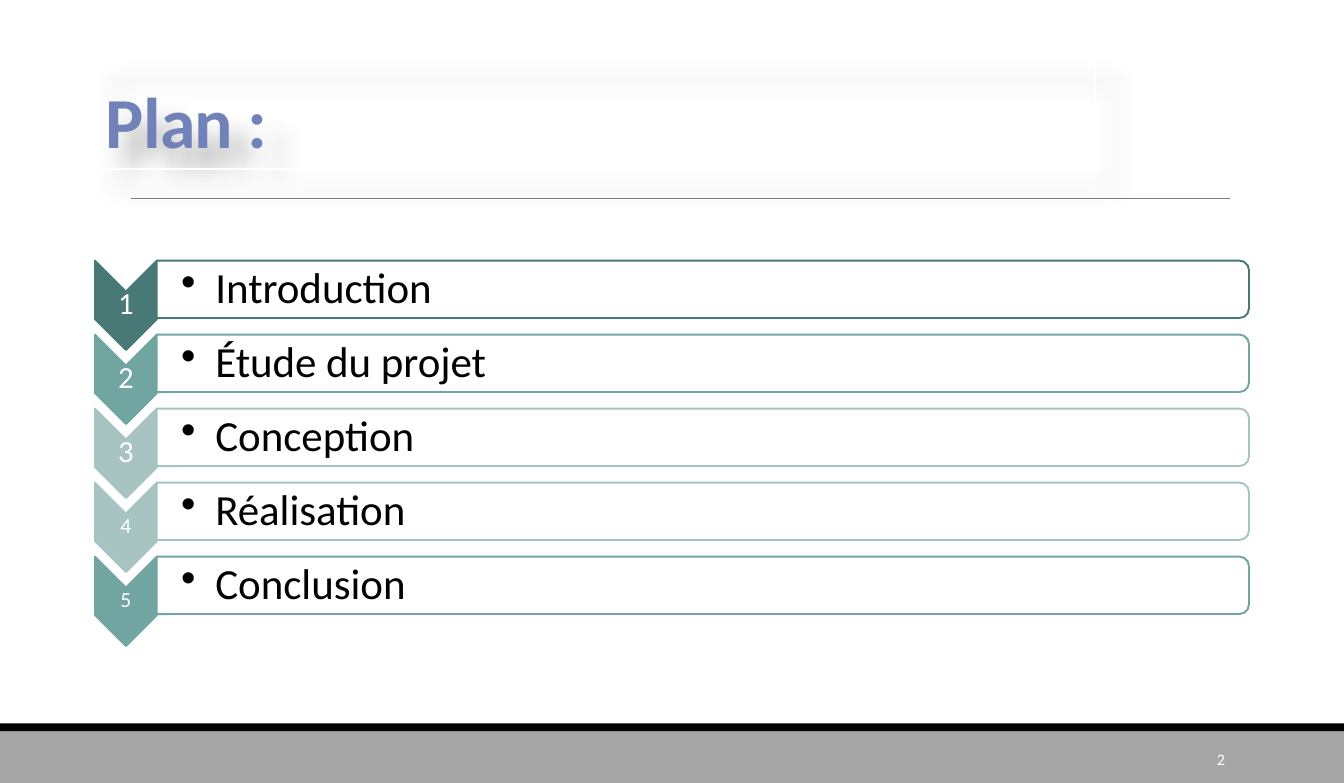
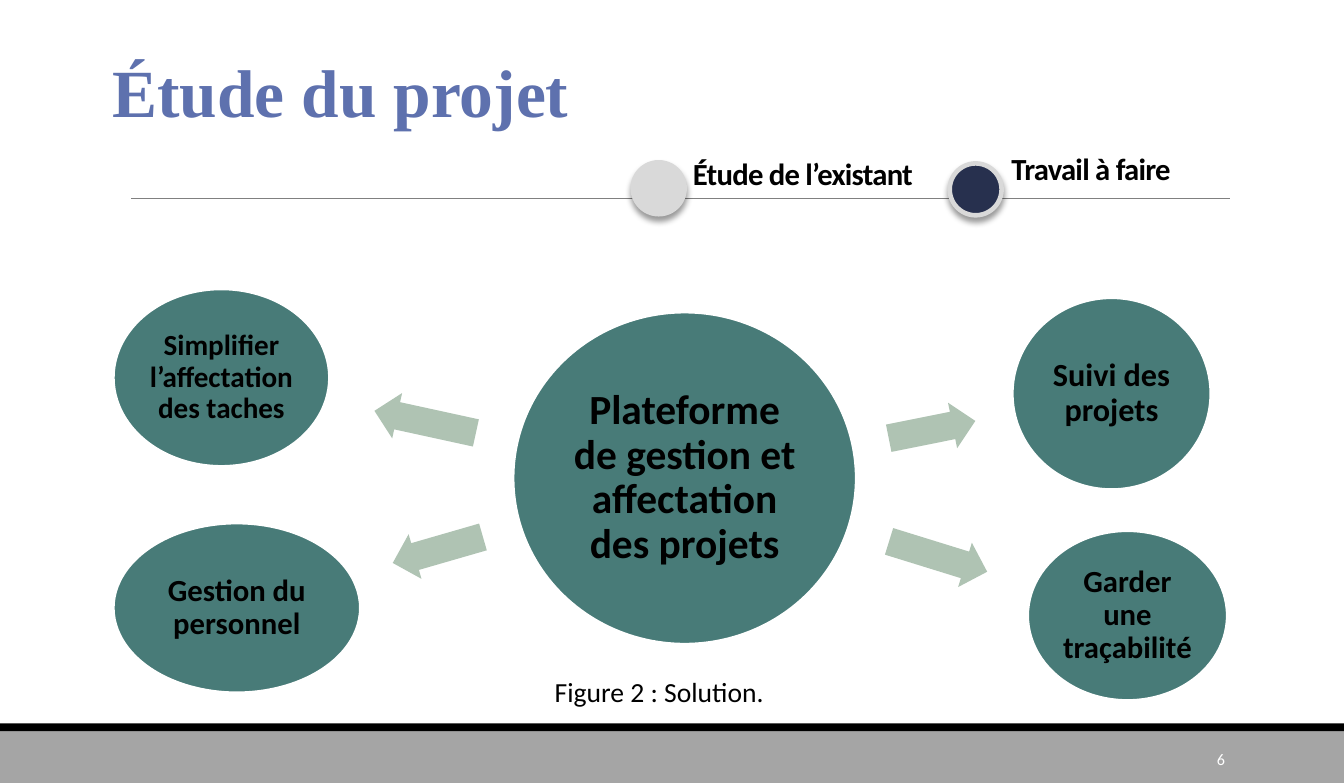
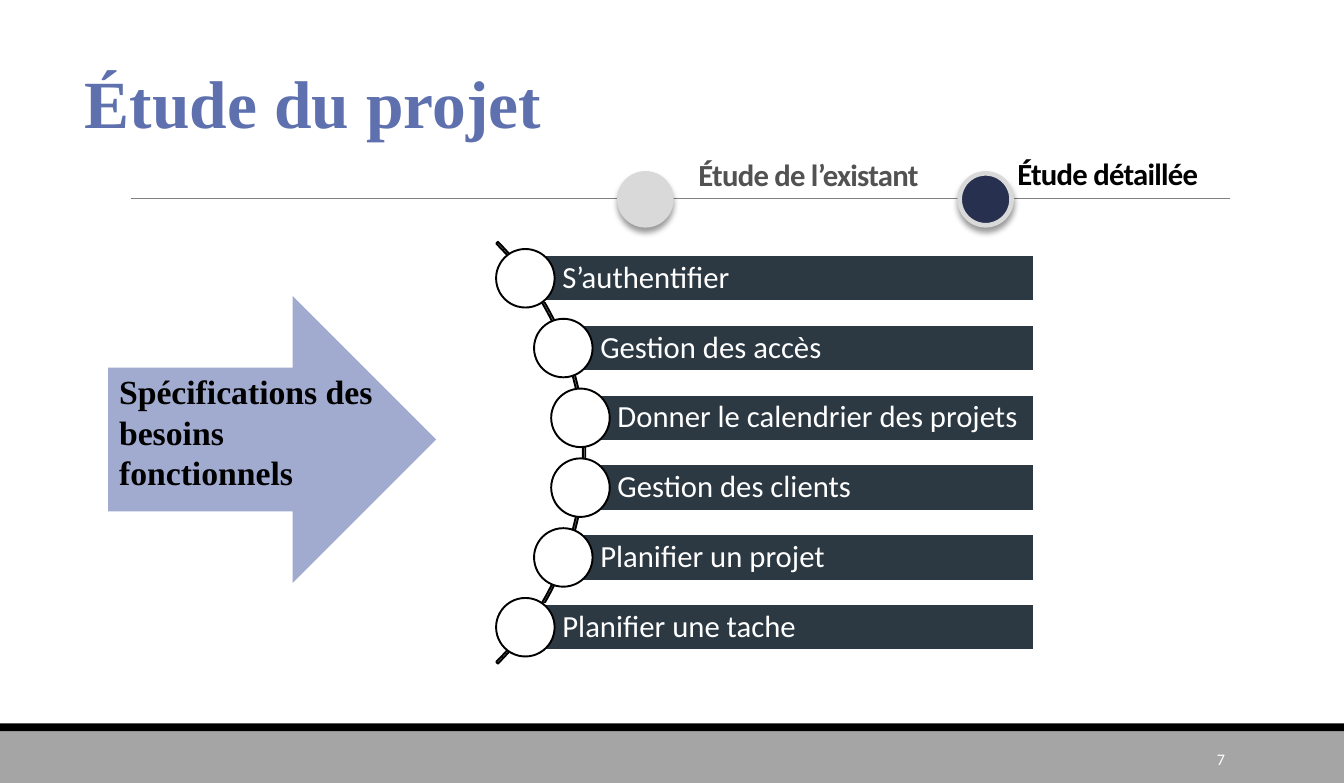
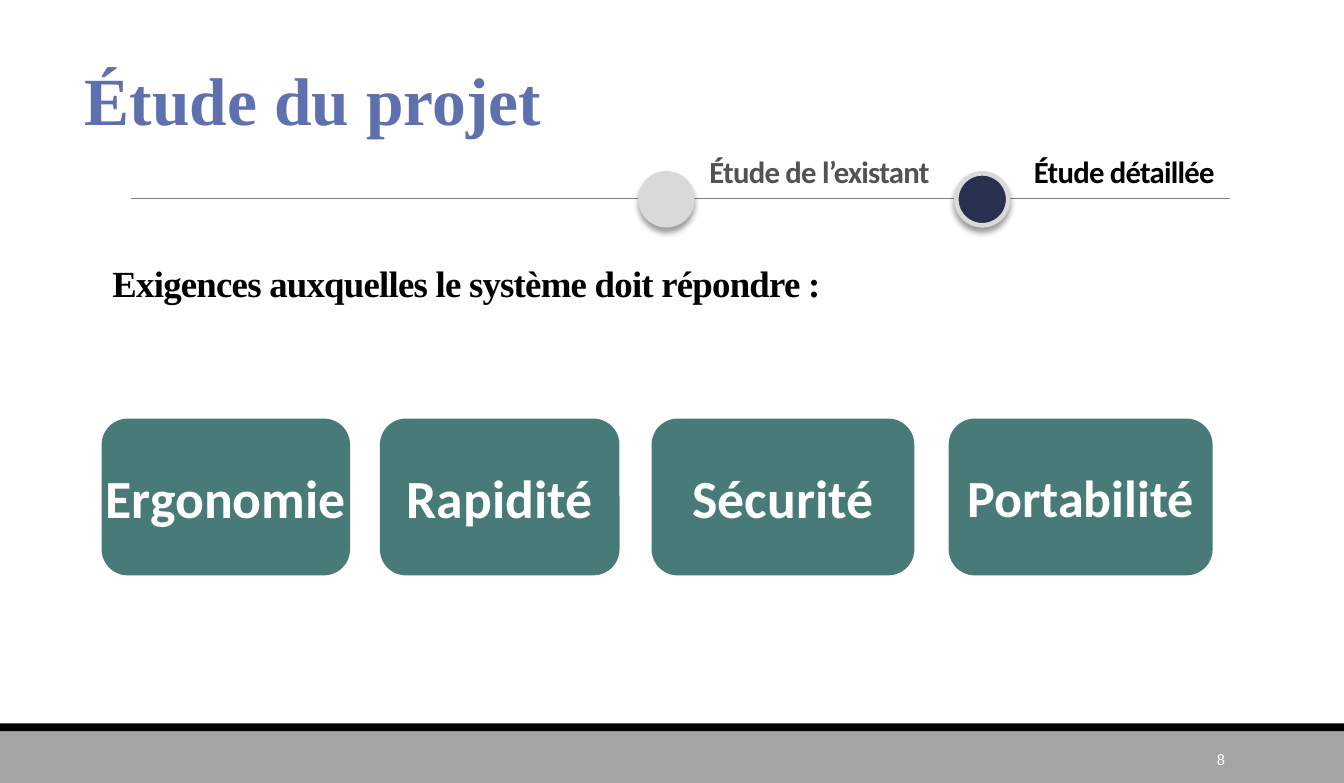
from math import sqrt
from lxml.etree import SubElement
from pptx import Presentation
from pptx.dml.color import RGBColor
from pptx.enum.shapes import MSO_CONNECTOR, MSO_SHAPE
from pptx.enum.text import MSO_ANCHOR, PP_ALIGN
from pptx.oxml.ns import qn
from pptx.util import Inches, Pt

WIDE, HIGH = 12.17, 7.09
HEX = {
    "white": "FFFFFF", "black": "000000", "band": "A5A5A5", "rule": "808080",
    "plan": "7182B8", "title": "5E71AE", "teal": "487B78", "arrow": "AFC3B3",
    "deep": "497976", "mid": "71A5A1", "pale": "A7C4C2", "navy": "27304E",
    "ring": "D9D9D9", "grey": "525252", "lilac": "A1ABD0", "slate": "2C3943",
}
SANS, SERIF = "Calibri", "Times New Roman"
LEFT, MID, RIGHT = PP_ALIGN.LEFT, PP_ALIGN.CENTER, PP_ALIGN.RIGHT
TOP, HALF, BASE = MSO_ANCHOR.TOP, MSO_ANCHOR.MIDDLE, MSO_ANCHOR.BOTTOM
PAD = (0.1, 0.05, 0.1, 0.05)


def rgb(name):
    return RGBColor.from_string(HEX[name])


def draw(slide, kind, box, fill=None, line=None, width=1.25, turn=0):
    """Add a preset shape; box is left, top, width, height in inches."""
    shape = slide.shapes.add_shape(kind, *map(Inches, box))
    shape.shadow.inherit = False
    shape.rotation = turn
    if fill:
        shape.fill.solid()
        shape.fill.fore_color.rgb = rgb(fill)
    else:
        shape.fill.background()
    if line:
        shape.line.color.rgb = rgb(line)
        shape.line.width = Pt(width)
    else:
        shape.line.fill.background()
    return shape


def upright(slide, kind, box, fill, line):
    """Add a shape turned by 90 degrees that covers the given box."""
    x, y, w, h = box
    flat = (x + (w - h) / 2, y + (h - w) / 2, h, w)
    return draw(slide, kind, flat, fill, line, turn=90)


def shade(shape, alpha, blur, dist, angle):
    """Cast an outer shadow: percent, points, points, degrees."""
    effects = shape._element.spPr.find(qn("a:effectLst"))
    outer = SubElement(effects, qn("a:outerShdw"), blurRad=str(Pt(blur)),
                       dist=str(Pt(dist)), dir=str(angle * 60000),
                       algn="ctr", rotWithShape="0")
    tint = SubElement(outer, qn("a:srgbClr"), val=HEX["black"])
    SubElement(tint, qn("a:alpha"), val=str(alpha * 1000))


def write(shape, text, size, color="black", bold=False, font=SANS, align=LEFT,
          anchor=TOP, pad=PAD, gap=None, tight=False, wrap=True):
    """Put one formatted paragraph into a shape and return it."""
    frame = shape.text_frame
    frame.text = text
    frame.word_wrap = wrap
    frame.vertical_anchor = anchor
    (frame.margin_left, frame.margin_top,
     frame.margin_right, frame.margin_bottom) = map(Inches, pad)
    para = frame.paragraphs[0]
    para.alignment = align
    if gap:
        para.line_spacing = gap
    run = para.runs[0]
    run.font.name, run.font.size, run.font.bold = font, Pt(size), bold
    run.font.color.rgb = rgb(color)
    if tight:
        run._r.get_or_add_rPr().set("spc", "-50")
    return para


def label(slide, box, text, size, **style):
    return write(slide.shapes.add_textbox(*map(Inches, box)), text, size, **style)


# Parts shared by the slides
def start(deck, number):
    """Add a slide with its footer bands, rule and number."""
    slide = deck.slides.add_slide(deck.slide_layouts[6])
    draw(slide, MSO_SHAPE.RECTANGLE, (0, 6.61, WIDE, HIGH - 6.61), "band")
    draw(slide, MSO_SHAPE.RECTANGLE, (0, 6.55, WIDE, 0.07), "black")
    rule = slide.shapes.add_connector(
        MSO_CONNECTOR.STRAIGHT, *map(Inches, (1.19, 1.8, 11.14, 1.8)))
    rule.line.color.rgb = rgb("rule")
    rule.line.width = Pt(0.5)
    SubElement(rule._element.spPr, qn("a:effectLst"))
    label(slide, (9.88, 6.68, 1.31, 0.38), str(number), 10.5,
          color="white", align=RIGHT, anchor=HALF)
    return slide


def head(slide, x, y):
    label(slide, (x, y, 4.57, 0.84), "Étude du projet", 44,
          color="title", bold=True, font=SERIF)


def steps(slide, marks):
    """Timeline marks: dot left, dot top, fill, text centre x and y, text, colour."""
    for x, y, fill, mid, level, text, color in marks:
        dot = draw(slide, MSO_SHAPE.OVAL, (x, y, 0.47, 0.47), fill, "ring", 3)
        shade(dot, 40, 4, 3, 90)
        label(slide, (mid - 1.5, level - 0.2, 3, 0.4), text, 20, color=color,
              bold=True, align=MID, anchor=HALF, tight=True)


# Slide 1: chevron list
def agenda(slide, box, rows):
    left, top, width, pitch = box
    for i, (text, color, size) in enumerate(rows):
        y = top + i * pitch
        upright(slide, MSO_SHAPE.CHEVRON, (left, y, 0.56, 0.81), color, color)
        label(slide, (left, y + 0.28, 0.56, 0.24), str(i + 1), size, color="white",
              align=MID, anchor=HALF, pad=(0.01,) * 4, gap=0.9)
        x, wide = left + 0.56, width - 0.56
        upright(slide, MSO_SHAPE.ROUND_2_SAME_RECTANGLE, (x, y, wide, 0.52),
                "white", color)
        para = label(slide, (x, y + 0.03, wide, 0.47), text, 28, anchor=HALF,
                     pad=(0.22, 0.02, 0.02, 0.02), gap=0.9)
        props = para._p.get_or_add_pPr()
        props.set("marL", str(Inches(0.31)))
        props.set("indent", str(Inches(-0.31)))
        SubElement(props, qn("a:buChar"), char="•")


def plan(deck):
    slide = start(deck, 2)
    agenda(slide, (0.86, 2.36, 10.45, 0.67), [
        ("Introduction", "deep", 20), ("Étude du projet", "mid", 20),
        ("Conception", "pale", 20), ("Réalisation", "pale", 14),
        ("Conclusion", "mid", 14)])
    title = draw(slide, MSO_SHAPE.RECTANGLE, (0.86, 0.55, 9.06, 0.98), None, "white")
    shade(title, 30, 15, 18, 45)
    write(title, "Plan :", 46.8, "plan", True, anchor=BASE, gap=0.85, tight=True)


# Slide 2: hub with four goals
def bubble(slide, box, text, size):
    disc = draw(slide, MSO_SHAPE.OVAL, box, "teal", "white")
    write(disc, text, size, bold=True, align=MID, anchor=HALF,
          pad=(0.03,) * 4, gap=0.9)


def hub(slide, x, y):
    bubble(slide, (x + 3.62, y + 0.21, 3.1, 3),
           "Plateforme de gestion et affectation des projets", 27)
    goals = [
        ((0, 0, 1.95, 1.6), "Simplifier l’affectation des taches", 19,
         (2.35, 0.99, 0.94), 192.3),
        ((8.14, 0.08, 1.79, 1.73), "Suivi des projets", 21,
         (7.01, 1.06, 0.8), 348.7),
        ((0, 2.12, 2.23, 1.53), "Gestion du personnel", 20,
         (2.51, 2.15, 0.85), 163.9),
        ((8.28, 2.19, 1.8, 1.53), "Garder une traçabilité", 20,
         (7, 2.21, 0.93), 17.2),
    ]
    for (dx, dy, w, h), text, size, (ax, ay, span), turn in goals:
        bubble(slide, (x + dx, y + dy, w, h), text, size)
        arrow = draw(slide, MSO_SHAPE.RIGHT_ARROW, (x + ax, y + ay, span, 0.42),
                     "arrow", turn=turn)
        arrow.adjustments[0] = 0.6


def goal(deck):
    slide = start(deck, 6)
    steps(slide, [
        (5.73, 1.47, "ring", 7.27, 1.57, "Étude de l’existant", "black"),
        (8.6, 1.48, "navy", 9.88, 1.52, "Travail à faire", "black")])
    head(slide, 0.92, 0.4)
    hub(slide, 1.03, 2.62)
    label(slide, (4.91, 6.06, 2.12, 0.4), "Figure 2 : Solution.", 18,
          align=MID, anchor=HALF, wrap=False)


# Slide 3: list along an arc
def curve(slide, box, rows):
    x, y, side, edge = box
    arc = draw(slide, MSO_SHAPE.BLOCK_ARC, (x, y, side, side), None, "black")
    for i, value in enumerate((189, 27, 0.004)):
        arc.adjustments[i] = value
    mid, level, radius, pitch = x + side / 2, y + side / 2, 2.67, 0.632
    for i, text in enumerate(rows):
        drop = (i - (len(rows) - 1) / 2) * pitch
        left, row = mid + sqrt(radius ** 2 - drop ** 2), level + drop
        bar = draw(slide, MSO_SHAPE.RECTANGLE,
                   (left, row - 0.21, edge - left, 0.42), "slate", "white")
        write(bar, text, 20, "white", anchor=HALF,
              pad=(0.34, 0.06, 0.06, 0.06), gap=0.9)
        draw(slide, MSO_SHAPE.OVAL, (left - 0.26, row - 0.265, 0.53, 0.53),
             "white", "black")


def needs(deck):
    slide = start(deck, 7)
    draw(slide, MSO_SHAPE.RIGHT_ARROW, (0.98, 2.68, 2.97, 2.6), "lilac")
    label(slide, (0.98, 3.31, 2.51, 1.21), "Spécifications des besoins fonctionnels",
          22, bold=True, font=SERIF)
    head(slide, 0.67, 0.5)
    curve(slide, (-0.1, 1.4, 5.4, 9.36), [
        "S’authentifier", "Gestion des accès", "Donner le calendrier des projets",
        "Gestion des clients", "Planifier un projet", "Planifier une tache"])
    steps(slide, [
        (5.61, 1.57, "ring", 7.32, 1.58, "Étude de l’existant", "grey"),
        (8.69, 1.57, "navy", 10.03, 1.57, "Étude détaillée", "black")])


# Slide 4: row of cards
def cards(slide, y, items):
    for x, width, text, size in items:
        card = draw(slide, MSO_SHAPE.ROUNDED_RECTANGLE, (x, y, width, 1.42), "teal")
        write(card, text, size, "white", True, align=MID, anchor=HALF,
              pad=(0,) * 4, wrap=False)


def traits(deck):
    slide = start(deck, 8)
    steps(slide, [
        (5.8, 1.57, "ring", 7.42, 1.55, "Étude de l’existant", "grey"),
        (8.66, 1.57, "navy", 10.18, 1.55, "Étude détaillée", "black")])
    head(slide, 0.67, 0.48)
    label(slide, (0.92, 1.64, 11, 1.17),
          "Exigences auxquelles le système doit répondre :", 24, bold=True,
          font=SERIF, anchor=BASE, gap=0.85, tight=True)
    cards(slide, 3.79, [
        (0.92, 2.25, "Ergonomie", 35), (3.44, 2.17, "Rapidité", 35),
        (5.9, 2.38, "Sécurité", 35), (8.59, 2.39, "Portabilité", 34)])


def main():
    deck = Presentation()
    deck.slide_width, deck.slide_height = Inches(WIDE), Inches(HIGH)
    for build in (plan, goal, needs, traits):
        build(deck)
    deck.save("out.pptx")


if __name__ == "__main__":
    main()
